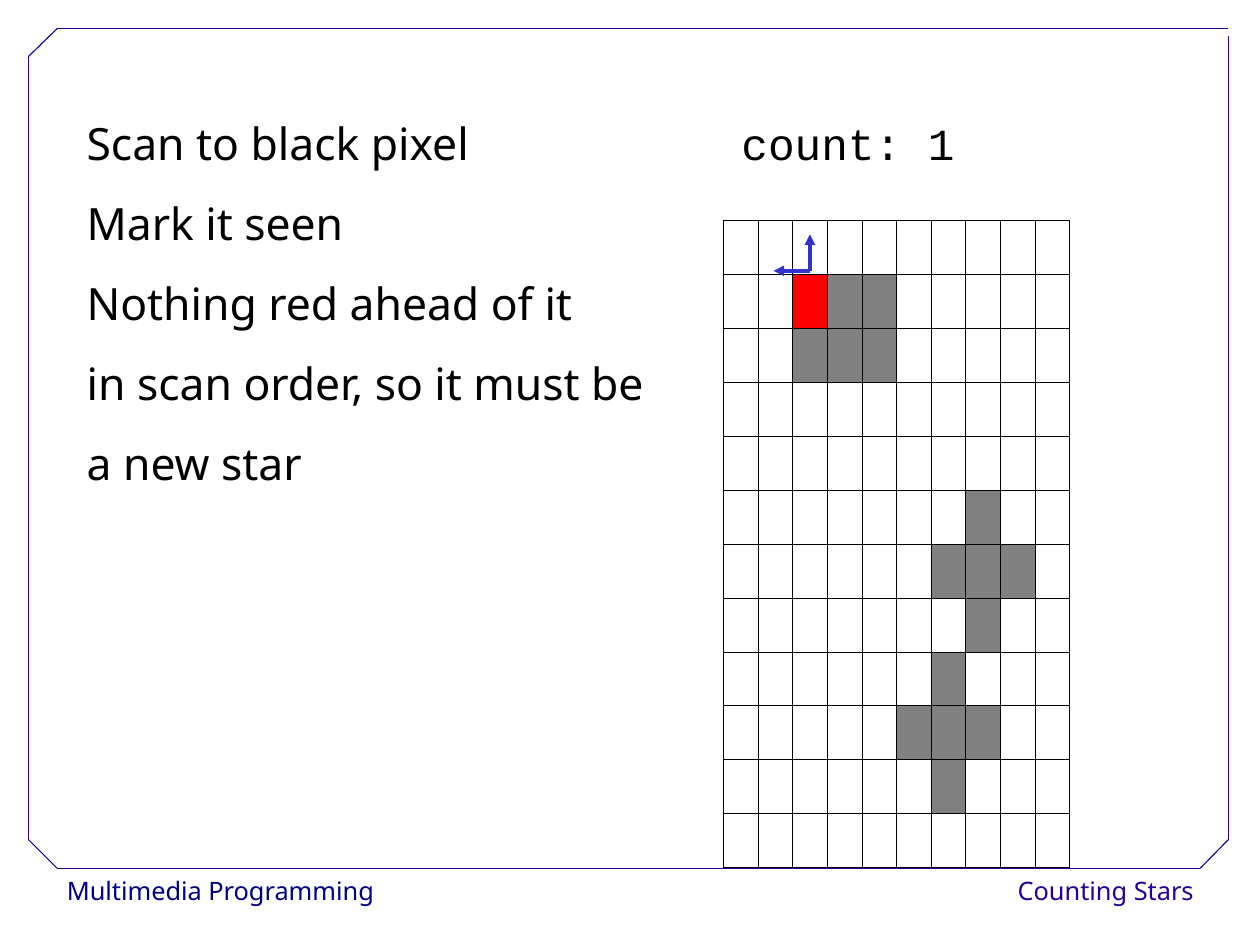
"""Build the star counting slide: frame, steps, pixel grid and scan arrows."""
from lxml import etree
from pptx import Presentation
from pptx.dml.color import RGBColor
from pptx.enum.shapes import MSO_CONNECTOR
from pptx.enum.text import PP_ALIGN
from pptx.oxml.ns import qn
from pptx.util import Pt

LINE = MSO_CONNECTOR.STRAIGHT
LEFT, RIGHT = PP_ALIGN.LEFT, PP_ALIGN.RIGHT
HEX = {"ink": "000000", "navy": "000080", "frame": "280099",
       "arrow": "3333CC", "red": "FF0000", "gray": "808080"}
SANS, MONO = "Noto Sans", "Courier New"
MARKS = {"R": "red", "#": "gray"}
STARS = [
    "..........",
    "..R##.....",
    "..###.....",
    "..........",
    "..........",
    ".......#..",
    "......###.",
    ".......#..",
    "......#...",
    ".....###..",
    "......#...",
    "..........",
]
STEPS = ["Scan to black pixel", "Mark it seen", "Nothing red ahead of it",
         "in scan order, so it must be", "a new star"]
FRAME = [
    (36, 547, 756, 547), (18, 529, 18, 35.5),
    (36, 18, 773.7, 18), (773.7, 529, 773.7, 23),
    (18, 35.5, 36, 18), (756, 547, 773.7, 529), (18, 529, 36, 547),
]


def tint(name):
    """Return the named colour."""
    return RGBColor.from_string(HEX[name])


def add_text(slide, box, rows, size, face, color, space, align=LEFT):
    """Add a text box with one paragraph per row."""
    frame = slide.shapes.add_textbox(*map(Pt, box)).text_frame
    frame.word_wrap = True
    look = {"size": Pt(size), "name": face}
    for i, row in enumerate(rows):
        para = frame.add_paragraph() if i else frame.paragraphs[0]
        para.text = row
        para.alignment = align
        para.line_spacing = space
        for key, value in look.items():
            setattr(para.font, key, value)
        para.font.color.rgb = tint(color)


def add_line(slide, ends, color, width, arrow=False):
    """Add a straight line, with an arrowhead at its end if wanted."""
    line = slide.shapes.add_connector(LINE, *map(Pt, ends))
    line.line.color.rgb = tint(color)
    line.line.width = Pt(width)
    if arrow:
        etree.SubElement(line.line._get_or_add_ln(), qn("a:tailEnd"),
                         type="triangle")
    etree.SubElement(line._element.spPr, qn("a:effectLst"))


def add_edges(cell):
    """Give a cell thin borders on all sides."""
    props = cell._tc.get_or_add_tcPr()
    for side in ("lnL", "lnR", "lnT", "lnB"):
        edge = etree.SubElement(props, qn("a:" + side), w=str(Pt(0.45)))
        fill = etree.SubElement(edge, qn("a:solidFill"))
        etree.SubElement(fill, qn("a:srgbClr"), val=HEX["ink"])


def add_grid(slide, left, top, wide, high):
    """Add the pixel grid as a table."""
    rows, cols = len(STARS), len(STARS[0])
    table = slide.shapes.add_table(rows, cols, Pt(left), Pt(top),
                                   Pt(wide * cols), Pt(high * rows)).table
    table.first_row = table.horz_banding = False
    for col in table.columns:
        col.width = Pt(wide)
    for r, marks in enumerate(STARS):
        table.rows[r].height = Pt(high)
        for c, mark in enumerate(marks):
            cell = table.cell(r, c)
            cell.margin_top = cell.margin_bottom = 0
            add_edges(cell)
            if mark in MARKS:
                cell.fill.solid()
                cell.fill.fore_color.rgb = tint(MARKS[mark])
            else:
                cell.fill.background()


def main():
    """Build and save the slide."""
    deck = Presentation()
    deck.slide_width, deck.slide_height = Pt(793.7), Pt(595.28)
    slide = deck.slides.add_slide(deck.slide_layouts[6])
    add_text(slide, (35, 547.2, 215, 29), ["Multimedia Programming"],
             16, SANS, "navy", 1.02)
    add_text(slide, (619, 547.2, 140, 29), ["Counting Stars"],
             16, SANS, "frame", 1.02, RIGHT)
    for ends in FRAME:
        add_line(slide, ends, "frame", 0.75)
    add_grid(slide, 455.7, 138.7, 21.8, 34)
    add_text(slide, (47.5, 52.6, 390, 259), STEPS, 28, SANS, "ink", 1.5)
    for tip in ((510.2, 147.6), (487.2, 170.6)):
        add_line(slide, (510.2, 170.6, *tip), "arrow", 2.25, True)
    add_text(slide, (460, 52.6, 213, 58), ["count: 1"], 28, MONO, "ink", 1.5)
    deck.save("out.pptx")


if __name__ == "__main__":
    main()
